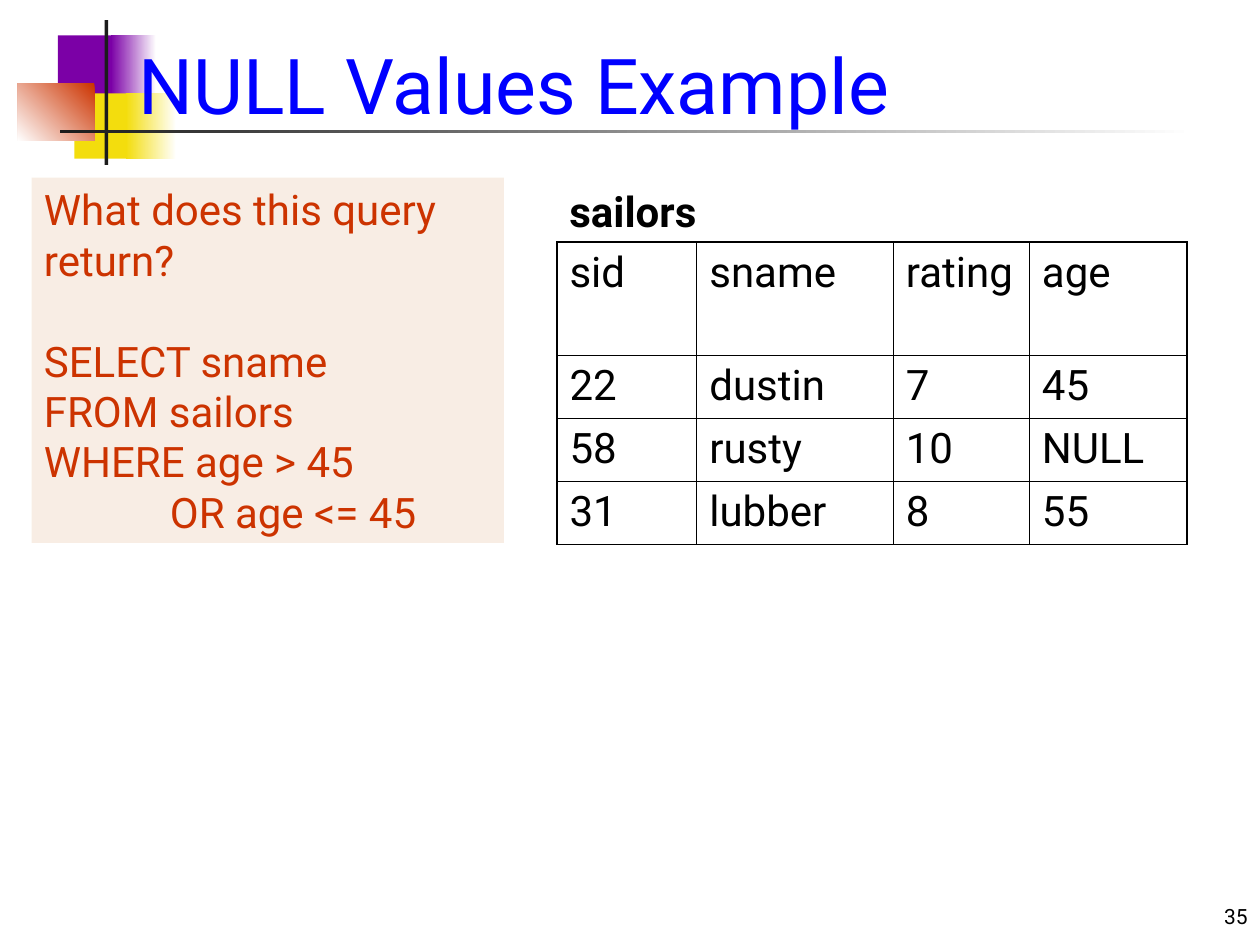
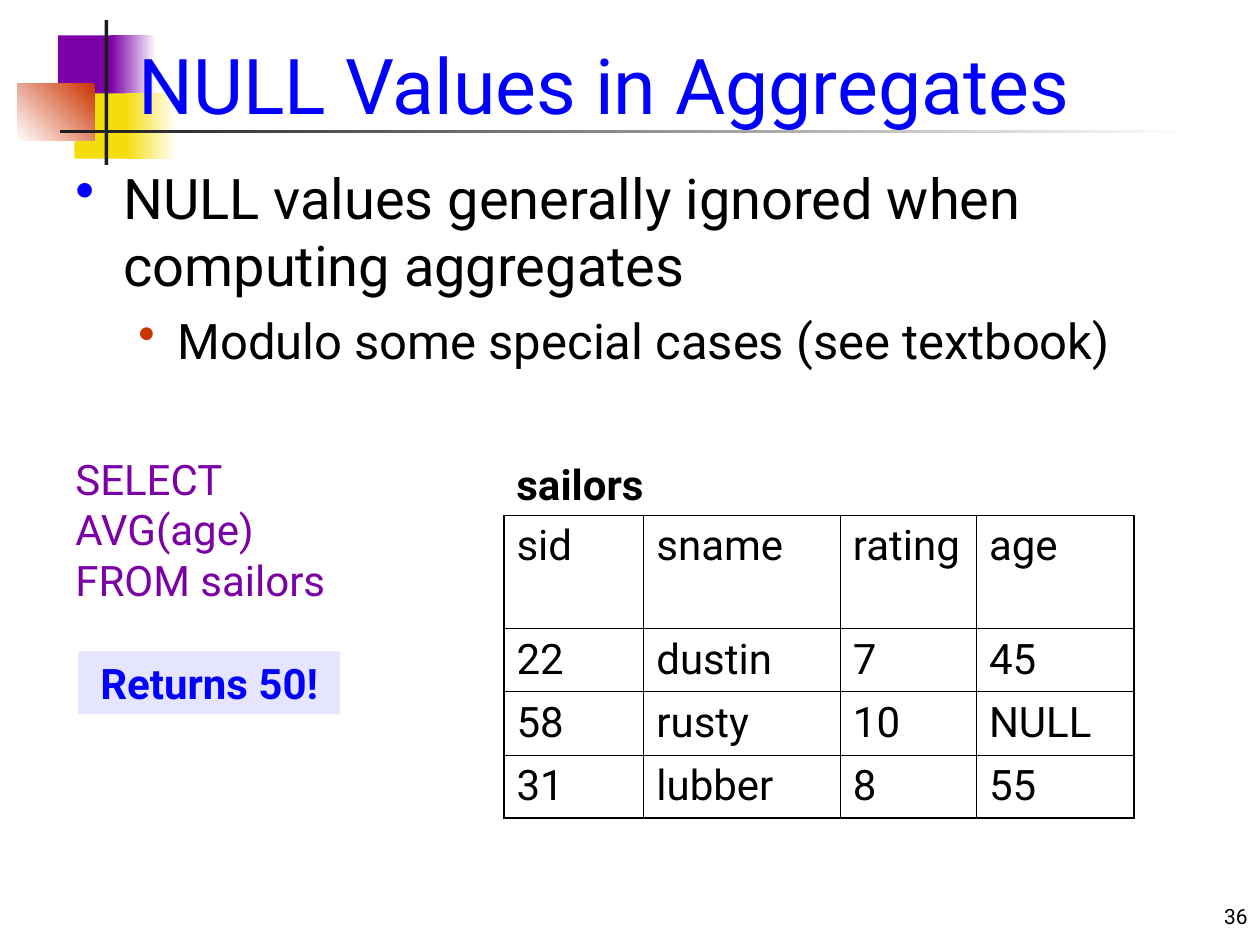
from pptx import Presentation
from pptx.dml.color import RGBColor
from pptx.enum.shapes import MSO_SHAPE
from pptx.enum.text import MSO_ANCHOR as ANCHOR, PP_ALIGN as ALIGN
from pptx.oxml.ns import qn
from pptx.util import Inches, Pt
from lxml.etree import SubElement

FONT = "Roboto"
BLACK, WHITE, INK = "000000", "FFFFFF", "1C1C1C"
BLUE, RED, PURPLE, YELLOW = "0000FF", "CC3300", "7B00A6", "F3DD0D"
PEACH, LAVENDER = "F2DDCA", "CCCCFF"

SAILORS = [
    ("sid", "sname", "rating", "age"),
    ("22", "dustin", "7", "45"),
    ("58", "rusty", "10", "NULL"),
    ("31", "lubber", "8", "55"),
]
COLUMN_WIDTHS = (1.11, 1.56, 1.08, 1.25)
ROW_HEIGHTS = (0.9, 0.5, 0.5, 0.5)
OUTER_LINE, INNER_LINE = 1.08, 0.45


def rgb(color):
    return RGBColor.from_string(color)


def inches(box):
    return [Inches(length) for length in box]


def write(frame, text, size, color, bold=False, align=ALIGN.LEFT, anchor=ANCHOR.TOP):
    frame.word_wrap = True
    frame.vertical_anchor = anchor
    frame.text = text
    for paragraph in frame.paragraphs:
        paragraph.alignment = align
        for run in paragraph.runs:
            run.font.name = FONT
            run.font.size = Pt(size)
            run.font.bold = bold
            run.font.color.rgb = rgb(color)


def add_text(slide, box, text, size, color, **style):
    frame = slide.shapes.add_textbox(*inches(box)).text_frame
    write(frame, text, size, color, **style)
    return frame


def add_block(slide, box):
    block = slide.shapes.add_shape(MSO_SHAPE.RECTANGLE, *inches(box))
    block.shadow.inherit = False
    block.line.fill.background()
    return block


def add_solid(slide, box, color, opacity=100):
    block = add_block(slide, box)
    block.fill.solid()
    block.fill.fore_color.rgb = rgb(color)
    if opacity < 100:
        tint = block.element.spPr.find(qn("a:solidFill")).find(qn("a:srgbClr"))
        SubElement(tint, qn("a:alpha"), val=str(opacity * 1000))
    return block


def add_fade(slide, box, start, end, angle=180):
    """Rectangle with a two-colour gradient; the angle runs counter-clockwise."""
    fill = add_block(slide, box).fill
    fill.gradient()
    fill.gradient_angle = angle
    for stop, color in zip(fill.gradient_stops, (start, end)):
        stop.color.rgb = rgb(color)


def indent(paragraph, left, hanging=0, bullet_color=None):
    properties = paragraph._p.get_or_add_pPr()
    properties.set("marL", str(Inches(left)))
    properties.set("indent", str(-Inches(hanging)))
    if bullet_color:
        tint = SubElement(properties, qn("a:buClr"))
        SubElement(tint, qn("a:srgbClr"), val=bullet_color)
        SubElement(properties, qn("a:buChar"), char="•")


def add_emblem(slide):
    """Coloured squares and crossing rules behind the title."""
    add_solid(slide, (0.46, 0.28, 0.48, 0.52), PURPLE)
    add_fade(slide, (0.88, 0.28, 0.36, 0.52), WHITE, PURPLE)
    add_solid(slide, (0.59, 0.74, 0.46, 0.52), YELLOW)
    add_fade(slide, (1, 0.74, 0.4, 0.52), WHITE, YELLOW)
    add_fade(slide, (0.14, 0.66, 0.61, 0.46), RED, WHITE, angle=225)
    add_solid(slide, (0.83, 0.16, 0.03, 1.15), INK)
    add_fade(slide, (0.48, 1.03, 9, 0.03), WHITE, INK)


def start_slide(deck, title, number):
    slide = deck.slides.add_slide(deck.slide_layouts[6])
    add_emblem(slide)
    add_text(slide, (7.92, 6.92, 2.08, 0.5), str(number), 12, BLACK,
             align=ALIGN.RIGHT, anchor=ANCHOR.BOTTOM)
    add_text(slide, (1, -0.17, 8.83, 1.25), title, 44, BLUE, anchor=ANCHOR.BOTTOM)
    return slide


def set_borders(cell, widths):
    properties = cell._tc.get_or_add_tcPr()
    for side, width in zip("LRTB", widths):
        line = SubElement(properties, qn(f"a:ln{side}"), w=str(Pt(width)))
        fill = SubElement(line, qn("a:solidFill"))
        SubElement(fill, qn("a:srgbClr"), val=BLACK)


def add_sailors(slide, left, top):
    """Table of sailors with its name above it."""
    label_height = 0.5
    add_text(slide, (left, top, 1.92, label_height), "sailors", 24, BLACK, bold=True)
    box = (left, top + label_height, sum(COLUMN_WIDTHS), sum(ROW_HEIGHTS))
    last_row, last_column = len(SAILORS) - 1, len(COLUMN_WIDTHS) - 1
    table = slide.shapes.add_table(last_row + 1, last_column + 1, *inches(box)).table
    table.first_row = table.horz_banding = False
    for column, width in zip(table.columns, COLUMN_WIDTHS):
        column.width = Inches(width)
    for row, height in zip(table.rows, ROW_HEIGHTS):
        row.height = Inches(height)
    for r, record in enumerate(SAILORS):
        for c, value in enumerate(record):
            cell = table.cell(r, c)
            write(cell.text_frame, value, 24, BLACK)
            on_edge = (c == 0, c == last_column, r == 0, r == last_row)
            set_borders(cell, [OUTER_LINE if edge else INNER_LINE for edge in on_edge])
            cell.fill.background()


def add_query_question(slide, box):
    question = add_solid(slide, box, PEACH, opacity=50).text_frame
    lines = ("What does this query return?", "SELECT sname", "FROM sailors",
             "WHERE age > 45", "OR age <= 45")
    write(question, "\n".join(lines), 24, RED, anchor=ANCHOR.MIDDLE)
    question.paragraphs[1].space_before = Pt(28.8)
    indent(question.paragraphs[-1], 1)


def add_rules(slide, box):
    rules = add_text(slide, box, "NULL values generally ignored when computing aggregates\n"
                     "Modulo some special cases (see textbook)", 32, BLACK)
    rule, exception = rules.paragraphs
    indent(rule, 0.38, 0.38, BLUE)
    exception.level = 1
    exception.space_before = Pt(7)
    exception.runs[0].font.size = Pt(28)
    indent(exception, 0.81, 0.31, RED)


def build_example(deck):
    slide = start_slide(deck, "NULL Values Example", 35)
    add_sailors(slide, 4.42, 1.42)
    add_query_question(slide, (0.25, 1.41, 3.75, 2.9))


def build_aggregates(deck):
    slide = start_slide(deck, "NULL Values in Aggregates", 36)
    add_rules(slide, (0.5, 1.25, 9.17, 1.75))
    add_text(slide, (0.5, 3.75, 2.8, 0.9), "SELECT AVG(age)\nFROM sailors", 24, PURPLE,
             anchor=ANCHOR.MIDDLE)
    add_sailors(slide, 4, 3.59)
    answer = add_solid(slide, (0.62, 5.17, 2.08, 0.5), LAVENDER, opacity=50)
    write(answer.text_frame, "Returns 50!", 24, BLUE, bold=True,
          align=ALIGN.CENTER, anchor=ANCHOR.MIDDLE)


def main():
    deck = Presentation()
    deck.slide_width, deck.slide_height = Inches(10), Inches(7.5)
    build_example(deck)
    build_aggregates(deck)
    deck.save("out.pptx")


if __name__ == "__main__":
    main()
